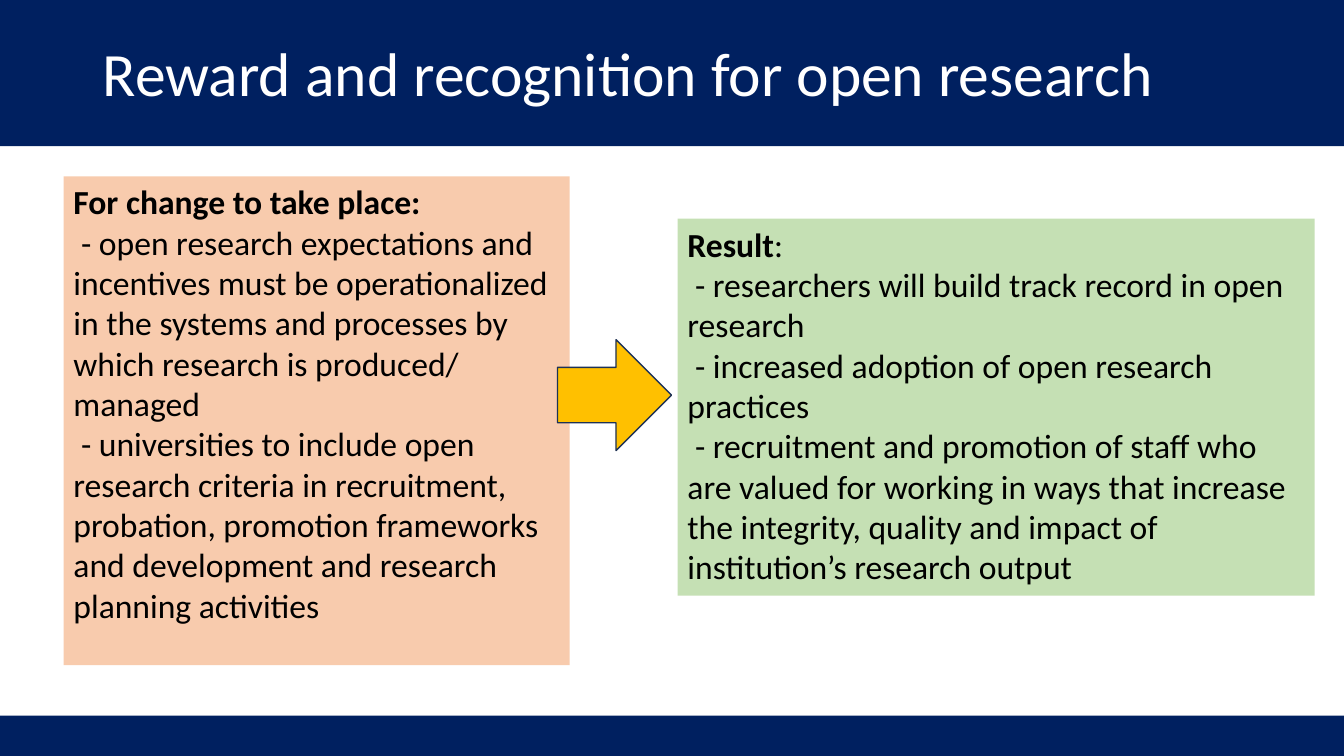
from pptx import Presentation
from pptx.dml.color import RGBColor
from pptx.enum.shapes import MSO_SHAPE
from pptx.enum.text import MSO_ANCHOR, PP_ALIGN
from pptx.util import Inches, Pt

RECT, ARROW = MSO_SHAPE.RECTANGLE, MSO_SHAPE.RIGHT_ARROW
TOP, MIDDLE = MSO_ANCHOR.TOP, MSO_ANCHOR.MIDDLE
LEFT = PP_ALIGN.LEFT
NAVY = "002060"


def add_block(kind, x, y, w, h, fill, line=None):
    sp = s.shapes.add_shape(kind, Inches(x), Inches(y), Inches(w), Inches(h))
    sp.shadow.inherit = False
    sp.fill.solid()
    sp.fill.fore_color.rgb = RGBColor.from_string(fill)
    if line:
        sp.line.color.rgb = RGBColor.from_string(line)
        sp.line.width = Pt(1)
    else:
        sp.line.fill.background()
    return sp


def set_text(sp, paragraphs, size=24, color="000000", anchor=TOP, spacing=1.0):
    """Each paragraph is a list of (text, bold) runs."""
    tf = sp.text_frame
    tf.word_wrap = True
    tf.vertical_anchor = anchor
    for i, runs in enumerate(paragraphs):
        p = tf.add_paragraph() if i else tf.paragraphs[0]
        p.alignment = LEFT
        p.line_spacing = spacing
        for text, bold in runs:
            r = p.add_run()
            r.text = text
            r.font.name = "Calibri"
            r.font.size = Pt(size)
            r.font.bold = bold
            r.font.color.rgb = RGBColor.from_string(color)


prs = Presentation()
prs.slide_width, prs.slide_height = Inches(13.33), Inches(7.5)
s = prs.slides.add_slide(prs.slide_layouts[6])

# Header and footer bands
add_block(RECT, 0, 0, 13.33, 1.45, NAVY)
add_block(RECT, 0, 7.1, 13.33, 0.4, NAVY)

# Title
title = s.shapes.add_textbox(Inches(0.92), Inches(0.23), Inches(11.5), Inches(1.06))
set_text(title, [[("Reward and recognition for open research", False)]],
         size=44, color="FFFFFF", anchor=MIDDLE, spacing=0.9)

# Conditions for change
change = add_block(RECT, 0.63, 1.75, 5.02, 4.85, "F8CBAD")
set_text(change, [
    [("For change to take place:", True)],
    [(" - open research expectations and incentives must be operationalized in "
      "the systems and processes by which research is produced/ managed", False)],
    [(" - universities to include open research criteria in recruitment, probation, "
      "promotion frameworks and development and research planning activities", False)],
])

# Result
result = add_block(RECT, 6.72, 2.17, 6.32, 3.74, "C5E0B4")
set_text(result, [
    [("Result", True), (":", False)],
    [(" - researchers will build track record in open research", False)],
    [(" - increased adoption of open research practices", False)],
    [(" - recruitment and promotion of staff who are valued for working in ways that "
      "increase the integrity, quality and impact of institution’s research output", False)],
])

# Arrow from change to result
add_block(ARROW, 5.53, 3.37, 1.13, 1.1, "FFC000", line="1E3256")

prs.save("out.pptx")
